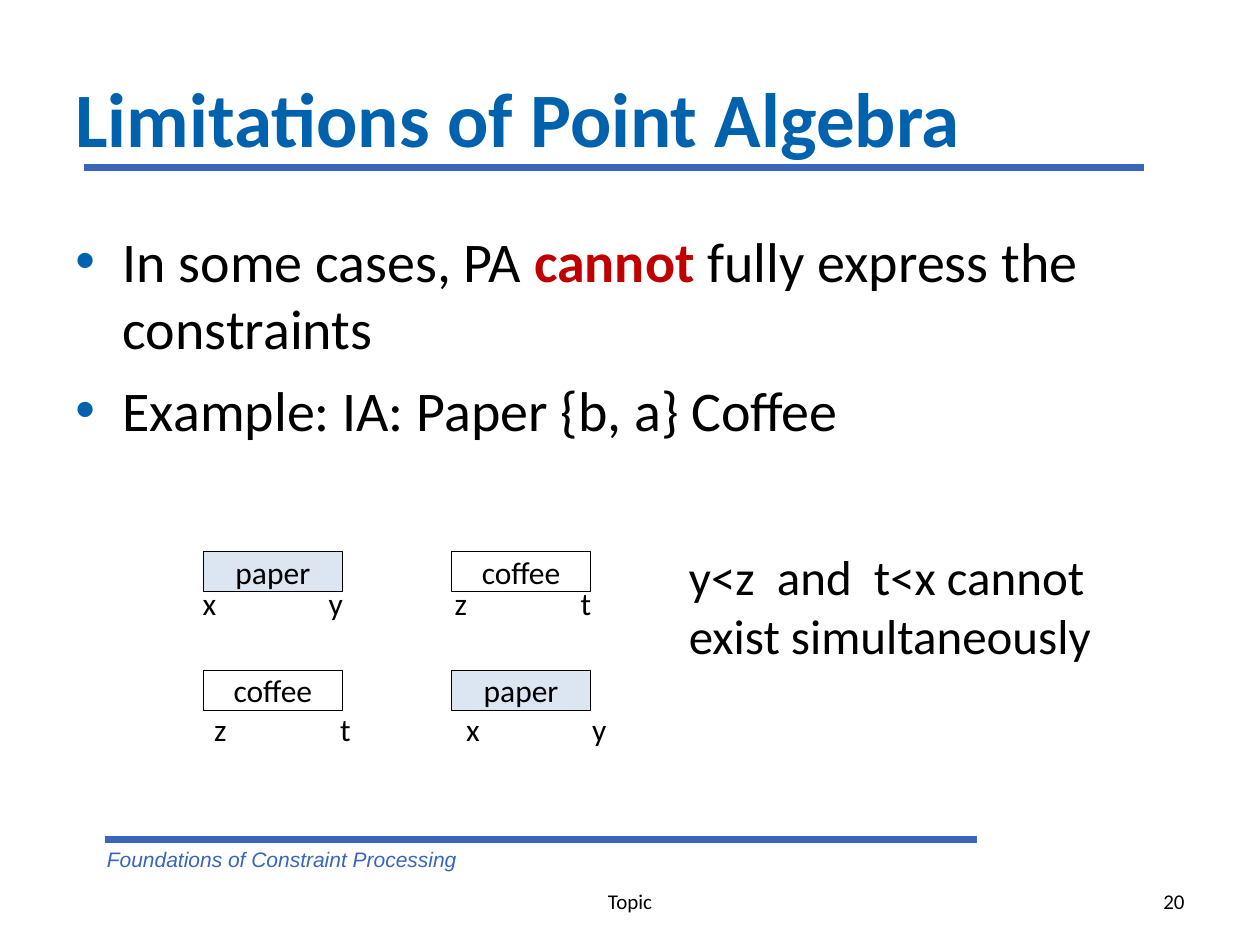
from lxml import etree
from pptx import Presentation
from pptx.dml.color import RGBColor
from pptx.enum.shapes import MSO_CONNECTOR, MSO_SHAPE
from pptx.enum.text import MSO_ANCHOR, PP_ALIGN
from pptx.oxml.ns import qn
from pptx.util import Pt

RECT = MSO_SHAPE.RECTANGLE
LINE = MSO_CONNECTOR.STRAIGHT
TOP, MIDDLE = MSO_ANCHOR.TOP, MSO_ANCHOR.MIDDLE
LEFT, CENTER, RIGHT = PP_ALIGN.LEFT, PP_ALIGN.CENTER, PP_ALIGN.RIGHT

COLORS = {
    "rule": "3A65BC",
    "title": "0062AC",
    "text": "000000",
    "alert": "C00000",
    "paper": "DCE6F2",
    "coffee": "FFFFFF",
}


def rgb(name):
    return RGBColor.from_string(COLORS[name])


class Deck:
    """Holds the style and the current slide."""

    face = "Calibri"
    indent = 27
    tab = 72

    def __init__(self, width, height):
        self.prs = Presentation()
        self.prs.slide_width, self.prs.slide_height = Pt(width), Pt(height)
        self.slide = self.prs.slides.add_slide(self.prs.slide_layouts[6])

    def style(self, run, size, color="text", bold=False, italic=False, face=None):
        font = run.font
        font.name, font.size = face or self.face, Pt(size)
        font.bold, font.italic = bold, italic
        font.color.rgb = rgb(color)

    def rule(self, left, right, y):
        line = self.slide.shapes.add_connector(LINE, Pt(left), Pt(y), Pt(right), Pt(y))
        line.line.color.rgb, line.line.width = rgb("rule"), Pt(4)
        etree.SubElement(line._element.spPr, qn("a:effectLst"))

    def frame(self, box, anchor=TOP):
        frame = self.slide.shapes.add_textbox(*map(Pt, box)).text_frame
        frame.word_wrap, frame.vertical_anchor = True, anchor
        return frame

    def text(self, box, text, size, align=LEFT, anchor=TOP, **look):
        frame = self.frame(box, anchor)
        frame.text = text
        for para in frame.paragraphs:
            para.alignment = align
            self.style(para.runs[0], size, **look)

    def points(self, box, items, size):
        """Bulleted list; each item is a list of (text, look) runs."""
        frame = self.frame(box)
        for i, item in enumerate(items):
            para = frame.paragraphs[0] if i == 0 else frame.add_paragraph()
            self.bullet(para)
            if i:
                para.space_before = Pt(8)
            for text, look in item:
                run = para.add_run()
                run.text = text
                self.style(run, size, **look)

    def bullet(self, para):
        props = para._p.get_or_add_pPr()
        props.set("marL", str(Pt(self.indent)))
        props.set("indent", str(-Pt(self.indent)))
        color = etree.SubElement(props, qn("a:buClr"))
        etree.SubElement(color, qn("a:srgbClr"), val=COLORS["title"])
        etree.SubElement(props, qn("a:buFont"), typeface="Arial")
        etree.SubElement(props, qn("a:buChar"), char="•")

    def marks(self, box, names, size):
        """Endpoint names set one tab stop apart."""
        frame = self.frame(box)
        frame.text = "\t".join(names)
        para = frame.paragraphs[0]
        stops = etree.SubElement(para._p.get_or_add_pPr(), qn("a:tabLst"))
        for i in range(1, len(names)):
            etree.SubElement(stops, qn("a:tab"), pos=str(Pt(self.tab * i)), algn="l")
        for run in para.runs:
            self.style(run, size)

    def event(self, box, name, size):
        shape = self.slide.shapes.add_shape(RECT, *map(Pt, box))
        shape.shadow.inherit = False
        shape.fill.solid()
        shape.fill.fore_color.rgb = rgb(name)
        shape.line.color.rgb, shape.line.width = rgb("text"), Pt(0.75)
        frame = shape.text_frame
        frame.text, frame.word_wrap = name, False
        frame.vertical_anchor = MIDDLE
        frame.paragraphs[0].alignment = CENTER
        self.style(frame.paragraphs[0].runs[0], size)


def main():
    deck = Deck(720, 540)
    deck.rule(48, 654, 96)
    deck.text((54, 480, 378, 21.6), "Foundations of Constraint Processing", 12,
              color="rule", italic=True, face="Arial")
    deck.rule(60, 558, 480)

    deck.text((36, 21.6, 648, 90), "Limitations of Point Algebra", 44,
              anchor=MIDDLE, color="title", bold=True)
    deck.points((36, 126, 648, 356), [
        [("In some cases, PA ", {}),
         ("cannot", {"color": "alert", "bold": True}),
         (" fully express the constraints", {})],
        [("Example: IA: Paper {b, a} Coffee", {})],
    ], 32)
    deck.text((246, 500.5, 228, 28.8), "Topic", 12, CENTER, MIDDLE)
    deck.text((516, 500.5, 168, 28.8), "20", 12, RIGHT, MIDDLE)

    orders = [("paper", "coffee"), ("coffee", "paper")]
    for row, order in enumerate(orders):
        for col, name in enumerate(order):
            deck.event((116.2 + 141.8 * col, 315 + 68 * row, 79.5, 23), name, 18)
    deck.marks((108.7, 330, 250, 28.8), "xyzt", 18)
    deck.marks((115.2, 402, 250, 28.8), "ztxy", 18)
    deck.text((386.6, 309, 297.4, 75),
              "y<z  and  t<x cannot\nexist simultaneously", 28)

    deck.prs.save("out.pptx")


if __name__ == "__main__":
    main()
